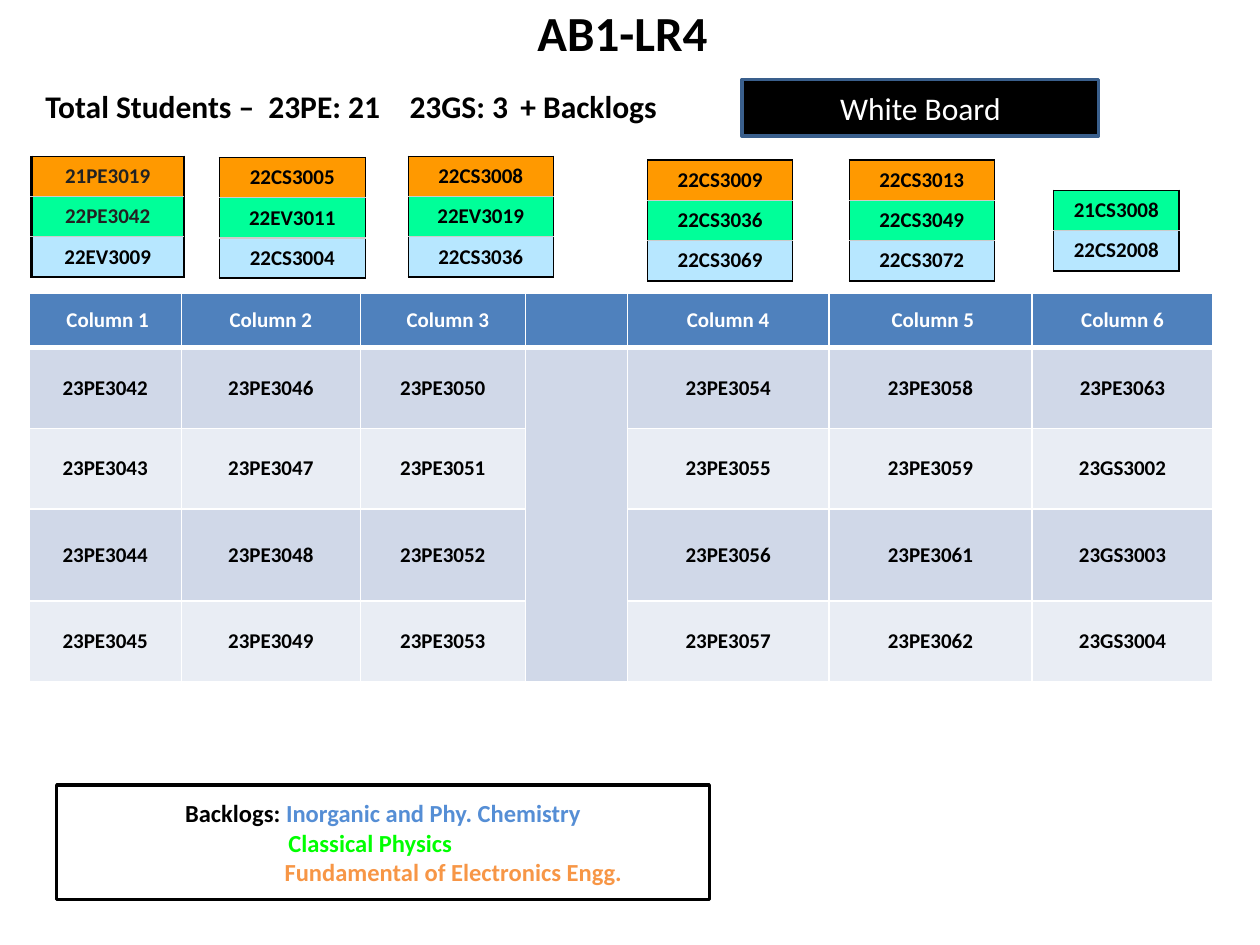
from lxml import etree
from pptx import Presentation
from pptx.dml.color import RGBColor
from pptx.enum.shapes import MSO_SHAPE
from pptx.enum.text import MSO_ANCHOR, PP_ALIGN
from pptx.oxml.ns import qn
from pptx.util import Inches, Pt

CENTER, LEFT = PP_ALIGN.CENTER, PP_ALIGN.LEFT
MIDDLE, TOP = MSO_ANCHOR.MIDDLE, MSO_ANCHOR.TOP
RECTANGLE = MSO_SHAPE.RECTANGLE

BLACK = RGBColor(0x00, 0x00, 0x00)
WHITE = RGBColor(0xFF, 0xFF, 0xFF)
CHARCOAL = RGBColor(0x22, 0x22, 0x22)
GREY = RGBColor(0xCC, 0xCC, 0xCC)
HEADER_BLUE = RGBColor(0x4F, 0x81, 0xBD)
BAND_DARK = RGBColor(0xD0, 0xD8, 0xE8)
BAND_LIGHT = RGBColor(0xE9, 0xED, 0xF4)
BOARD_EDGE = RGBColor(0x3A, 0x5F, 0x8C)
ORANGE = RGBColor(0xFF, 0x99, 0x00)
MINT = RGBColor(0x00, 0xFF, 0x99)
SKY = RGBColor(0xB7, 0xE7, 0xFF)
CHEMISTRY_BLUE = RGBColor(0x55, 0x8E, 0xD5)
PHYSICS_GREEN = RGBColor(0x00, 0xFF, 0x00)
ELECTRONICS_ORANGE = RGBColor(0xF7, 0x96, 0x46)

TIGHT_MARGINS = {"margin_left": Inches(0.03), "margin_right": Inches(0.03),
                 "margin_top": 0, "margin_bottom": 0}


class SeatingSlide:
    """Holds the text style and the slide being filled."""

    font_name = "Calibri"

    def __init__(self, presentation):
        """Add a title-only slide."""
        self.slide = presentation.slides.add_slide(presentation.slide_layouts[5])

    def add_text(self, paragraph, runs, size, bold=True, align=CENTER):
        """Fill a paragraph with (text, colour) runs."""
        paragraph.alignment = align
        for text, color in runs:
            run = paragraph.add_run()
            run.text = text
            style = {"name": self.font_name, "size": Pt(size), "bold": bold}
            for name, value in style.items():
                setattr(run.font, name, value)
            run.font.color.rgb = color

    def title(self, text, box):
        """Place and format the slide title."""
        shape = self.slide.shapes.title
        shape.left, shape.top, shape.width, shape.height = map(Inches, box)
        shape.text_frame.vertical_anchor = TOP
        self.add_text(shape.text_frame.paragraphs[0], [(text, BLACK)], 28)

    def tabbed_text(self, parts, stops, box):
        """Add one line whose parts start at tab stops given in inches."""
        frame = self.slide.shapes.add_textbox(*map(Inches, box)).text_frame
        frame.word_wrap = True
        frame.margin_left = Inches(0.15)
        paragraph = frame.paragraphs[0]
        self.add_text(paragraph, [("\t".join(parts), BLACK)], 18, align=LEFT)
        properties = paragraph._p.get_or_add_pPr()
        tabs = etree.SubElement(properties, qn("a:tabLst"))
        for stop in stops:
            etree.SubElement(tabs, qn("a:tab"), pos=str(Inches(stop)), algn="l")

    def rectangle(self, box, fill, line):
        """Add an outlined rectangle and return its text frame."""
        shape = self.slide.shapes.add_shape(RECTANGLE, *map(Inches, box))
        shape.shadow.inherit = False
        shape.fill.solid()
        shape.fill.fore_color.rgb = fill
        shape.line.color.rgb = line
        shape.line.width = Pt(2)
        shape.text_frame.word_wrap = True
        shape.text_frame.vertical_anchor = MIDDLE
        return shape.text_frame

    def table(self, left, top, widths, heights):
        """Add a table with the given column widths and row heights."""
        table = self.slide.shapes.add_table(
            len(heights), len(widths), Inches(left), Inches(top),
            Inches(sum(widths)), Inches(sum(heights))).table
        for column, width in zip(table.columns, widths):
            column.width = Inches(width)
        for row, height in zip(table.rows, heights):
            row.height = Inches(height)
        return table

    def cell(self, cell, text, fill, borders, color=BLACK, margins=TIGHT_MARGINS):
        """Format a cell; borders run left, right, top, bottom."""
        properties = cell._tc.get_or_add_tcPr()
        for side, (line_color, width) in zip("LRTB", borders):
            line = etree.SubElement(properties, qn("a:ln" + side), w=str(Pt(width)))
            solid = etree.SubElement(line, qn("a:solidFill"))
            etree.SubElement(solid, qn("a:srgbClr"), val=str(line_color))
        cell.fill.solid()
        cell.fill.fore_color.rgb = fill
        cell.vertical_anchor = MIDDLE
        for name, value in margins.items():
            setattr(cell, name, value)
        if text:
            self.add_text(cell.text_frame.paragraphs[0], [(text, color)], 12)

    def seating_table(self, headers, columns):
        """Add the main grid, with an empty merged aisle in the middle."""
        table = self.table(0.23, 2.33, [1.21, 1.42, 1.31, 0.81, 1.6, 1.61, 1.44],
                           [0.43, 0.64, 0.64, 0.73, 0.64])
        thin, thick = (WHITE, 1), (WHITE, 3)
        table.cell(1, 3).merge(table.cell(4, 3))
        for index, ((header, nudge), students) in enumerate(zip(headers, columns)):
            self.cell(table.cell(0, index), header, HEADER_BLUE,
                      [thin, thin, thin, thick], WHITE,
                      {"margin_left": Inches(0.1 + nudge)})
            for row, student in enumerate(students, 1):
                fill = BAND_DARK if row % 2 else BAND_LIGHT
                top = thick if row == 1 else thin
                self.cell(table.cell(row, index), student, fill,
                          [thin, thin, top, thin])

    def backlog_table(self, left, top, width, students, left_line=0.75,
                      right_line=0.75, colors=(BLACK, BLACK, BLACK)):
        """Add a one-column stack of backlog students, coloured by course."""
        count = len(students)
        table = self.table(left, top, [width], [0.32] * count)
        fills = [ORANGE, MINT, SKY][-count:]
        for row, (student, fill, color) in enumerate(zip(students, fills, colors)):
            upper = (BLACK, 0.75) if row == 0 else (GREY, 0.75)
            lower = (BLACK, 1.5) if row == count - 1 else (GREY, 0.75)
            self.cell(table.cell(row, 0), student, fill,
                      [(BLACK, left_line), (BLACK, right_line), upper, lower], color)

    def legend(self, box, entries):
        """Add the course legend; each entry is runs, alignment and indent."""
        frame = self.rectangle(box, WHITE, BLACK)
        for index, (runs, align, indent) in enumerate(entries):
            paragraph = frame.add_paragraph() if index else frame.paragraphs[0]
            self.add_text(paragraph, runs, 14, align=align)
            paragraph._p.get_or_add_pPr().set("marL", str(Inches(indent)))


def main():
    """Build the seating plan and save it."""
    presentation = Presentation()
    presentation.slide_width, presentation.slide_height = Inches(10), Inches(7.5)
    plan = SeatingSlide(presentation)

    headers = [("Column 1", 0.04), ("Column 2", 0), ("Column 3", 0.08), ("", 0),
               ("Column 4", 0), ("Column 5", 0.04), ("Column 6", 0)]
    rolls = [[f"23PE{number}" for number in range(first, first + 4)]
             for first in (3042, 3046, 3050, 3054)]
    rolls.insert(3, [""] * 4)
    rolls.append(["23PE3058", "23PE3059", "23PE3061", "23PE3062"])
    rolls.append(["23PE3063", "23GS3002", "23GS3003", "23GS3004"])
    plan.seating_table(headers, rolls)

    plan.title("AB1-LR4", (-0.01, -0.03, 9.9, 0.57))
    board = plan.rectangle((5.89, 0.63, 2.83, 0.45), BLACK, BOARD_EDGE)
    plan.add_text(board.paragraphs[0], [("White Board", WHITE)], 18, bold=False)
    plan.tabbed_text(["Total Students –", "23PE: 21", "23GS: 3", "+ Backlogs"],
                     [1.77, 2.89, 3.77], (0.21, 0.64, 5.41, 0.4))

    plan.backlog_table(0.25, 1.24, 1.21, ["21PE3019", "22PE3042", "22EV3009"],
                       left_line=1.5, colors=(CHARCOAL, CHARCOAL, BLACK))
    for left, top, width, students in [
        (1.74, 1.25, 1.16, ["22CS3005", "22EV3011", "22CS3004"]),
        (3.24, 1.24, 1.15, ["22CS3008", "22EV3019", "22CS3036"]),
        (5.14, 1.27, 1.15, ["22CS3009", "22CS3036", "22CS3069"]),
        (6.74, 1.27, 1.15, ["22CS3013", "22CS3049", "22CS3072"]),
    ]:
        plan.backlog_table(left, top, width, students)
    plan.backlog_table(8.36, 1.51, 1, ["21CS3008", "22CS2008"], right_line=1.5)

    plan.legend((0.45, 6.23, 5.18, 0.91), [
        ([("Backlogs: ", BLACK), ("Inorganic and Phy. Chemistry", CHEMISTRY_BLUE)],
         CENTER, 0),
        ([("Classical Physics", PHYSICS_GREEN)], LEFT, 1.74),
        ([("Fundamental of Electronics Engg.", ELECTRONICS_ORANGE)], LEFT, 1.71),
    ])
    presentation.save("out.pptx")


main()
